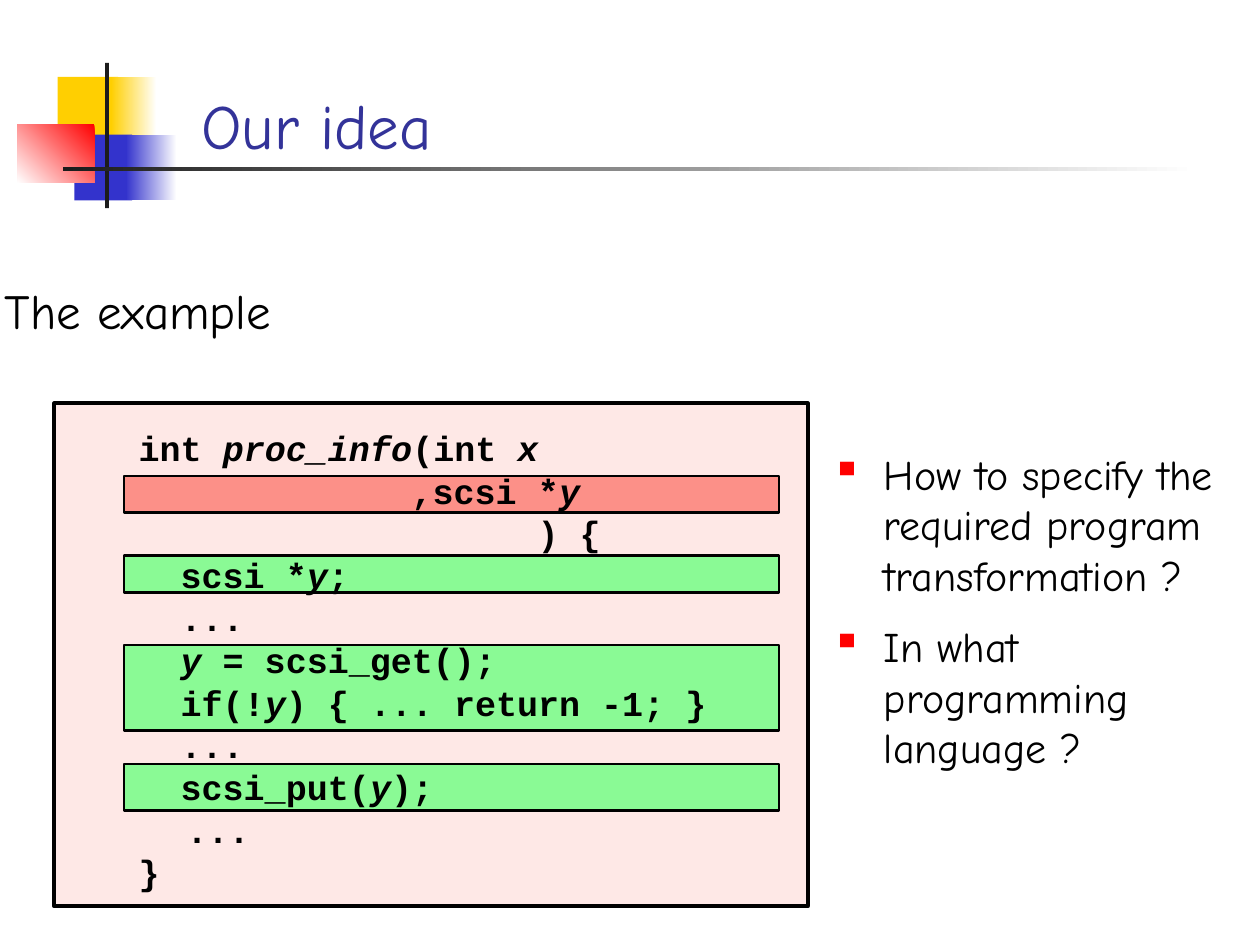
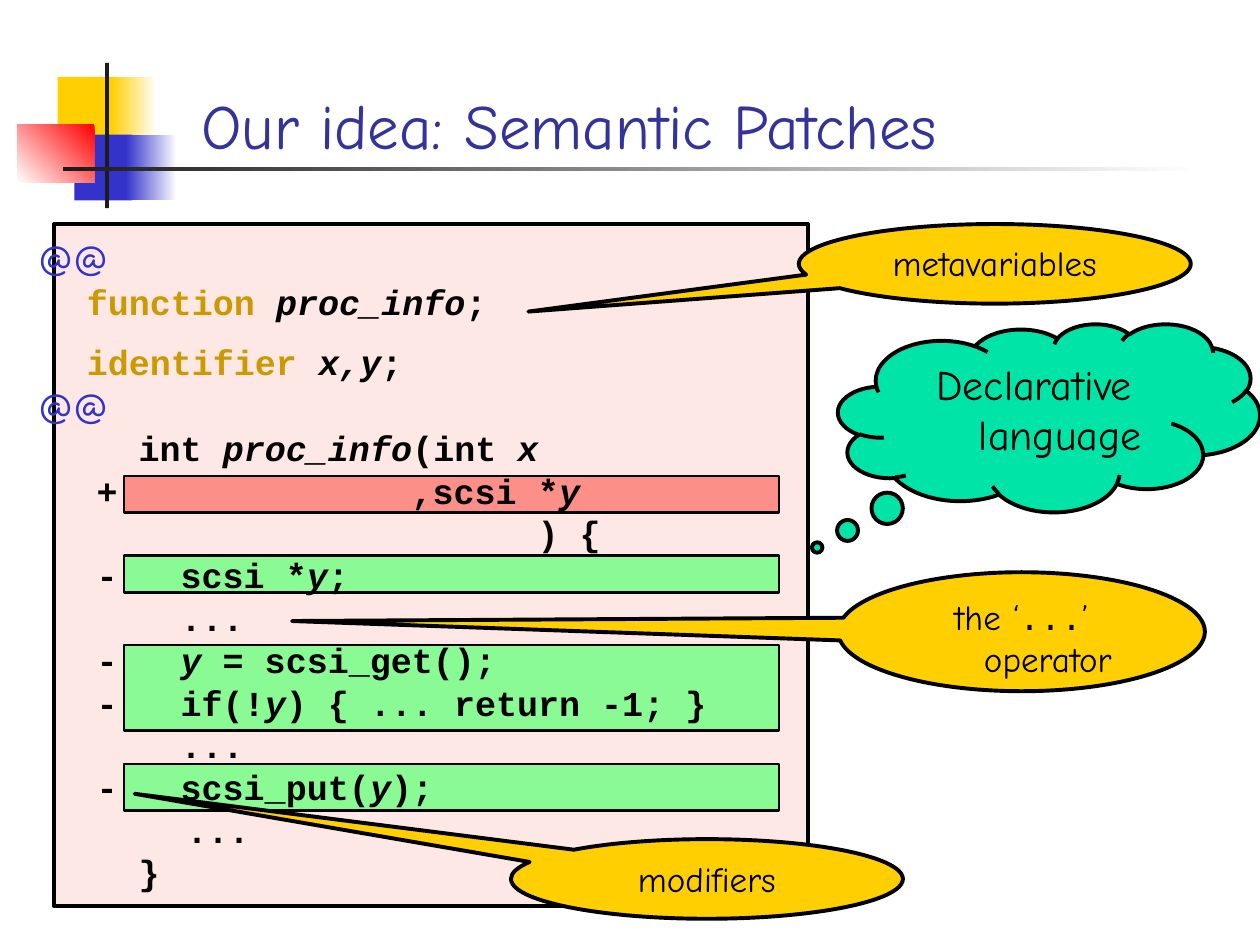
from lxml import etree
from pptx import Presentation
from pptx import util as u
from pptx.dml.color import RGBColor
from pptx.enum import shapes, text
from pptx.oxml import ns

BLACK = RGBColor(0x00, 0x00, 0x00)
WHITE = RGBColor(0xFF, 0xFF, 0xFF)
CHARCOAL = RGBColor(0x1C, 0x1C, 0x1C)
YELLOW = RGBColor(0xFF, 0xCF, 0x01)
BLUE = RGBColor(0x33, 0x33, 0xCC)
RED = RGBColor(0xFF, 0x00, 0x00)
TITLE_BLUE = RGBColor(0x33, 0x33, 0x99)
GOLD = RGBColor(0xCC, 0x99, 0x00)
PANEL_PINK = RGBColor(0xFE, 0xE8, 0xE6)
ADDED = RGBColor(0xFC, 0x90, 0x88)
REMOVED = RGBColor(0x8A, 0xFA, 0x95)
TEAL = RGBColor(0x00, 0xE4, 0xA8)

TITLE = {"name": "Comic Neue", "size": u.Pt(36), "color": TITLE_BLUE}
HEADING = {"name": "Comic Neue", "size": u.Pt(28), "color": BLACK}
BODY = {"name": "Comic Neue", "size": u.Pt(24), "color": BLACK}
LABEL = {"name": "Comic Neue", "size": u.Pt(20), "color": BLACK}
CODE = {"name": "Courier New", "size": u.Pt(20), "color": BLACK, "bold": True}
ITALIC = {"italic": True}
HANG = 30
CHAR = 12  # width of one code character

SHAPE = shapes.MSO_SHAPE


def add_block(page, kind, at, fill, line_width=0, angle=None):
    """Add a preset shape; a pair of fill colours makes a gradient."""
    block = page.shapes.add_shape(kind, *[u.Pt(value) for value in at])
    block.shadow.inherit = False
    if angle is None:
        block.fill.solid()
        block.fill.fore_color.rgb = fill
    else:
        block.fill.gradient()
        block.fill.gradient_angle = angle
        for stop, colour in zip(block.fill.gradient_stops, fill):
            stop.color.rgb = colour
    if line_width:
        block.line.color.rgb = BLACK
        block.line.width = u.Pt(line_width)
    else:
        block.line.fill.background()
    return block


def add_para(frame, spans, style, left=HANG, first=-HANG, **layout):
    """Write (text, changed format) spans in the next free paragraph."""
    para = frame.paragraphs[0]
    if para.runs:
        para = frame.add_paragraph()
    for name, value in layout.items():
        setattr(para, name, value)
    props = para._p.get_or_add_pPr()
    props.set("marL", str(u.Pt(left)))
    props.set("indent", str(u.Pt(first)))
    for words, changes in spans:
        span = para.add_run()
        span.text = words
        for name, value in {**style, **changes}.items():
            if name == "color":
                span.font.color.rgb = value
            else:
                setattr(span.font, name, value)
    return props


# Corner blocks and rules: place, fill, gradient angle
decorations = [
    ((33, 44, 34.5, 37.5), YELLOW, None),
    ((63.5, 44, 26, 37.5), (WHITE, YELLOW), 180),
    ((42.5, 77, 33, 37.5), BLUE, None),
    ((72, 77, 29, 37.5), (WHITE, BLUE), 180),
    ((10, 71, 44, 33.5), (RED, WHITE), 225),
    ((60, 36, 2.3, 83), CHARCOAL, None),
    ((36, 95.3, 648, 2.3), (WHITE, CHARCOAL), 180),
]

# Highlighted code: top, height, colour
highlights = [
    (272, 21, ADDED),
    (317.5, 21, REMOVED),
    (368.5, 49, REMOVED),
    (436.5, 26.5, REMOVED),
]

# Code: modifier, column, words with ~ around italics
code_lines = [
    ("", 2, "int ~proc_info~(int ~x"),
    ("+", 15, ",scsi *~y"),
    ("", 21, ") {"),
    ("-", 4, "scsi *~y~;"),
    ("", 4, "..."),
    ("-", 4, "~y~ = scsi_get();"),
    ("-", 4, "if(!~y~) { ... return -1; }"),
    ("", 4, "..."),
    ("-", 4, "scsi_put(~y~);"),
    ("", 4.28, "..."),
    ("", 2, "}"),
]

deck = Presentation()
deck.slide_width, deck.slide_height = u.Pt(720), u.Pt(540)
pages = []

# Shared parts: title, panel top and whether modifiers show
for title, panel_top, modifiers in [
    ("Our idea", 230.5, False),
    ("Our idea: Semantic Patches", 128, True),
]:
    page = deck.slides.add_slide(deck.slide_layouts[6])
    pages.append(page)
    for at, fill, angle in decorations:
        add_block(page, SHAPE.RECTANGLE, at, fill, angle=angle)

    box = page.shapes.add_textbox(u.Pt(108), u.Pt(6), u.Pt(612), u.Pt(90))
    box.text_frame.word_wrap = True
    box.text_frame.vertical_anchor = text.MSO_ANCHOR.BOTTOM
    add_para(box.text_frame, [(title, {})], TITLE, 0, 0)

    # Code panel
    add_block(page, SHAPE.RECTANGLE, (31, panel_top, 430.5, 518 - panel_top),
              PANEL_PINK, 2.25)
    for top, height, colour in highlights:
        add_block(page, SHAPE.RECTANGLE, (70.8, top, 374.4, height), colour, 1.5)

    box = page.shapes.add_textbox(u.Pt(48.2), u.Pt(245), u.Pt(374.4), u.Pt(295))
    box.text_frame.word_wrap = True
    for modifier, column, words in code_lines:
        spans = [(part, ITALIC if index % 2 else {})
                 for index, part in enumerate(words.split("~")) if part]
        marked = modifiers and modifier
        if marked:
            spans.insert(0, (modifier + "\t", {}))
        left = column * CHAR
        props = add_para(box.text_frame, spans, CODE, left, -left if marked else 0,
                         line_spacing=0.8, space_before=u.Pt(5))
        if marked:
            tabs = etree.SubElement(props, ns.qn("a:tabLst"))
            etree.SubElement(tabs, ns.qn("a:tab"), pos="0", algn="l")

idea, patches = pages

# Slide 1: heading
box = idea.shapes.add_textbox(u.Pt(-4.3), u.Pt(157), u.Pt(227), u.Pt(41))
box.text_frame.word_wrap = False
add_para(box.text_frame, [("The example", {})], HEADING, space_before=u.Pt(14))

# Slide 1: questions
box = idea.shapes.add_textbox(u.Pt(468), u.Pt(252.7), u.Pt(252), u.Pt(192))
box.text_frame.word_wrap = True
for question in ["How to specify the required program transformation ?",
                 "In what programming language ?"]:
    props = add_para(box.text_frame, [(question, {})], BODY, space_before=u.Pt(12))
    colour = etree.SubElement(props, ns.qn("a:buClr"))
    etree.SubElement(colour, ns.qn("a:srgbClr"), val=str(RED))
    etree.SubElement(props, ns.qn("a:buChar"), char="▪")

# Slide 2: metavariable declarations
box = patches.shapes.add_textbox(u.Pt(42.5), u.Pt(157), u.Pt(289.5), u.Pt(99))
box.text_frame.word_wrap = True
for keyword, names in [("function ", "proc_info"), ("identifier ", "x,y")]:
    spans = [(keyword, {"color": GOLD}), (names, ITALIC), (";", {})]
    add_para(box.text_frame, spans, CODE, space_before=u.Pt(10))

for top in (128, 213):
    box = patches.shapes.add_textbox(u.Pt(15), u.Pt(top), u.Pt(114.5), u.Pt(36))
    box.text_frame.word_wrap = False
    add_para(box.text_frame, [("@@", {"color": BLUE})], BODY, space_before=u.Pt(12))

# Slide 2: callouts with their pointer offsets
operator = [("the ‘", {}), ("...", {"name": "Courier New"}), ("’ operator", {})]
for kind, at, pointer, fill, spans, style, before in [
    (SHAPE.OVAL_CALLOUT, (456.5, 128, 224, 45.5), (-1.19, 0.6),
     YELLOW, [("metavariables", {})], LABEL, 10),
    (SHAPE.OVAL_CALLOUT, (479, 327, 209.5, 68), (-1.99, -0.09),
     YELLOW, operator, LABEL, 10),
    (SHAPE.OVAL_CALLOUT, (292, 479.5, 224, 45.5), (-1.46, -1.07),
     YELLOW, [("modifiers", {})], LABEL, 10),
    (SHAPE.CLOUD_CALLOUT, (479, 185, 241, 107.5), (-0.55, 0.69),
     TEAL, [("Declarative language", {})], BODY, 12),
]:
    callout = add_block(patches, kind, at, fill, 2.25)
    for index, offset in enumerate(pointer):
        callout.adjustments[index] = offset
    callout.text_frame.word_wrap = True
    callout.text_frame.vertical_anchor = text.MSO_ANCHOR.TOP
    add_para(callout.text_frame, spans, style, space_before=u.Pt(before),
             alignment=text.PP_ALIGN.CENTER)

deck.save("out.pptx")
